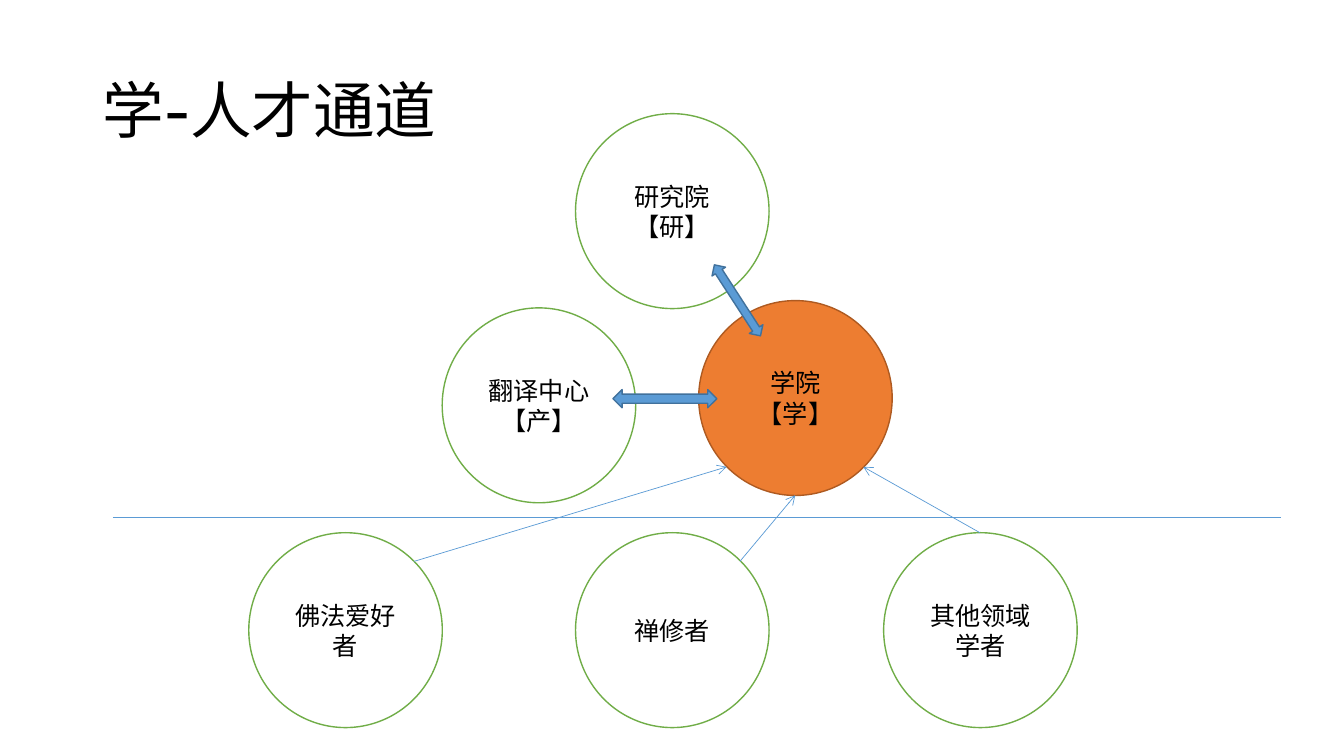
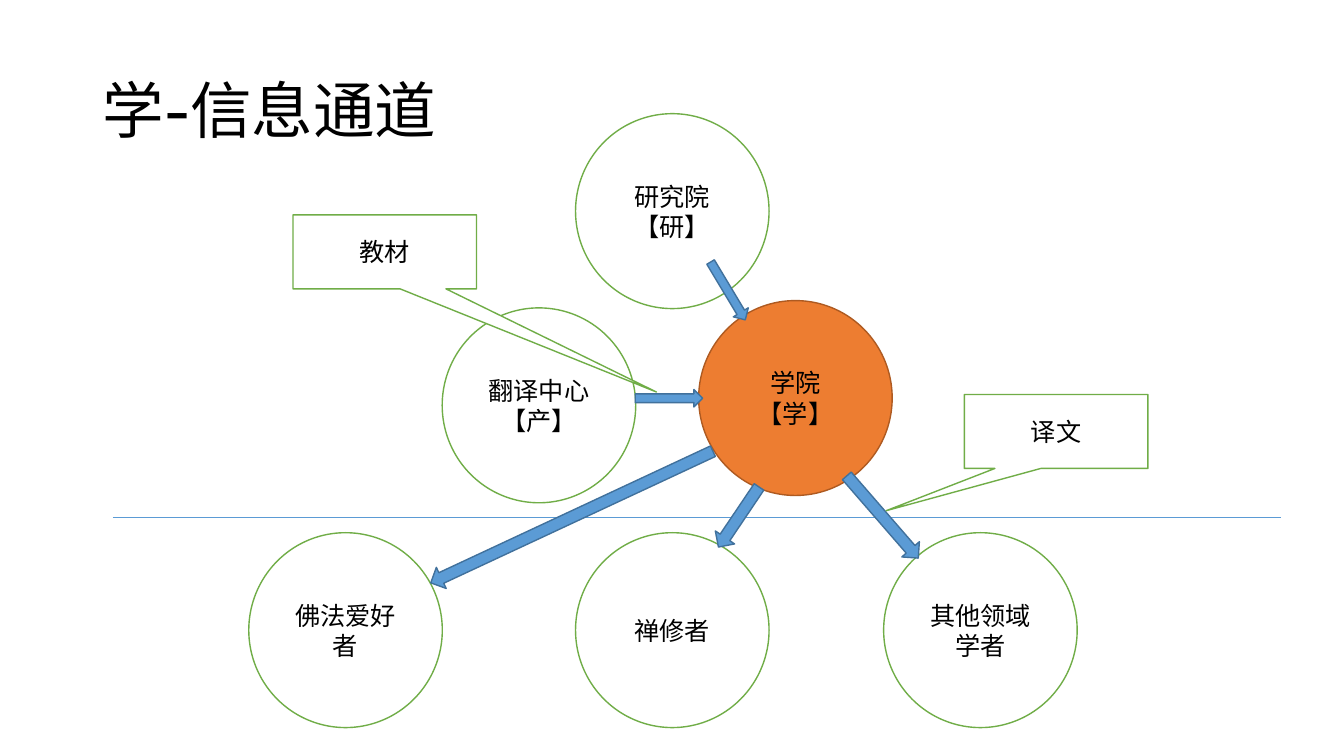
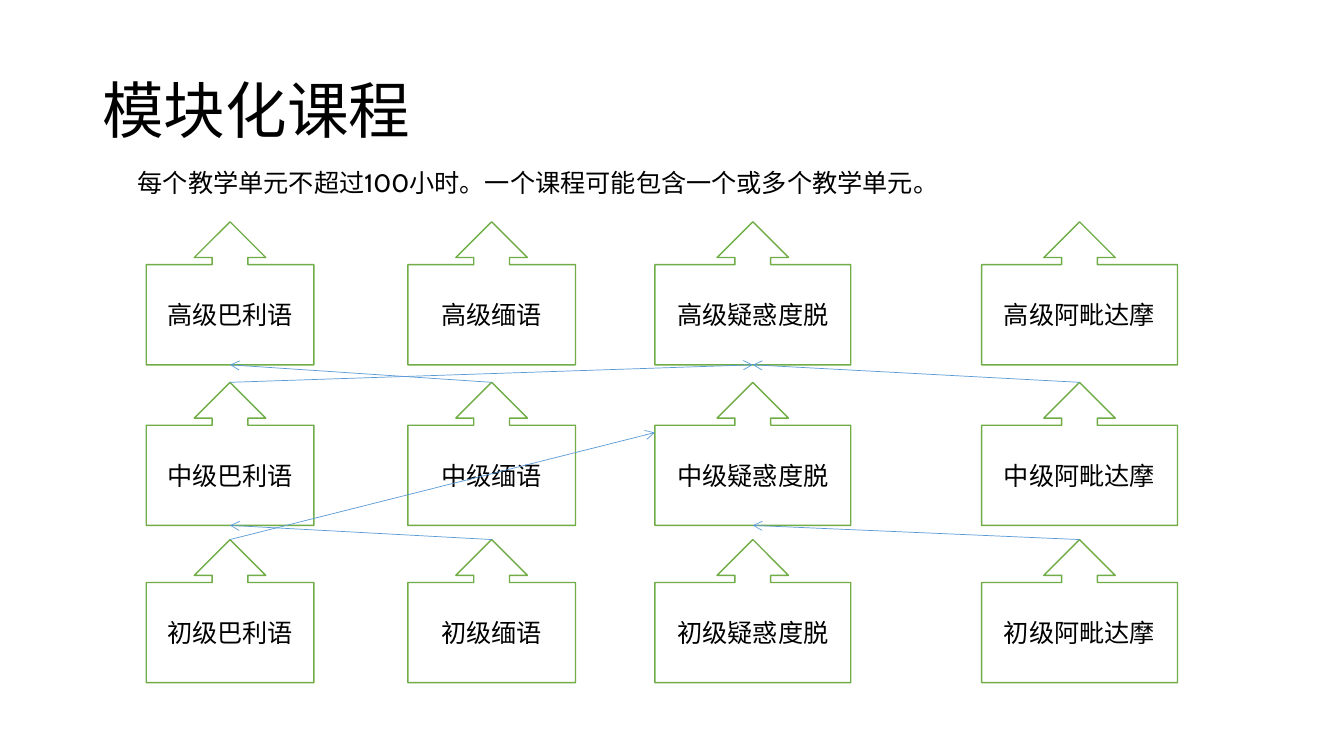
"""Build three slides on the academy's talent channels, information channels and modular courses."""
from lxml.etree import SubElement
from pptx import Presentation
from pptx.dml.color import RGBColor
from pptx.enum.shapes import MSO_CONNECTOR, MSO_SHAPE
from pptx.enum.text import MSO_ANCHOR, MSO_AUTO_SIZE, PP_ALIGN
from pptx.oxml.ns import qn
from pptx.util import Pt

FONT = "Cabin"
BLACK = RGBColor(0x00, 0x00, 0x00)
WHITE = RGBColor(0xFF, 0xFF, 0xFF)
GREEN = RGBColor(0x70, 0xAD, 0x47)
ORANGE = RGBColor(0xED, 0x7D, 0x31)
BROWN = RGBColor(0xAE, 0x5A, 0x21)
BLUE = RGBColor(0x5B, 0x9B, 0xD5)
NAVY = RGBColor(0x41, 0x71, 0x9C)


def add_box(slide, kind, place, text="", fill=WHITE, outline=GREEN, adjustments=(), rotation=0):
    shape = slide.shapes.add_shape(kind, *[Pt(length) for length in place])
    shape.shadow.inherit = False
    shape.rotation = rotation
    shape.fill.solid()
    shape.fill.fore_color.rgb = fill
    shape.line.color.rgb = outline
    shape.line.width = Pt(1)
    for index, value in enumerate(adjustments):
        shape.adjustments[index] = value
    frame = shape.text_frame
    for index, line in enumerate(text.split("\n") if text else []):
        paragraph = frame.add_paragraph() if index else frame.paragraphs[0]
        paragraph.alignment = PP_ALIGN.CENTER
        run = paragraph.add_run()
        run.text = line
        run.font.name = FONT
        run.font.size = Pt(18)
        run.font.color.rgb = BLACK
    return shape


def add_line(slide, start=(0, 0), end=(0, 0), arrow=True):
    points = [Pt(length) for length in (*start, *end)]
    connector = slide.shapes.add_connector(MSO_CONNECTOR.STRAIGHT, *points)
    connector.line.color.rgb = BLUE
    connector.line.width = Pt(0.5)
    properties = connector._element.spPr
    if arrow:
        SubElement(properties.find(qn("a:ln")), qn("a:tailEnd"), type="arrow")
    SubElement(properties, qn("a:effectLst"))
    return connector


presentation = Presentation()
presentation.slide_width = Pt(960.48)
presentation.slide_height = Pt(540)
title_layout = presentation.slide_layouts[5]

slides = []
for heading in ("学-人才通道", "学-信息通道", "模块化课程"):
    slide = presentation.slides.add_slide(title_layout)
    title = slide.shapes.title
    title.left, title.top, title.width, title.height = Pt(66), Pt(28.8), Pt(828), Pt(104.4)
    title.text_frame.vertical_anchor = MSO_ANCHOR.MIDDLE
    paragraph = title.text_frame.paragraphs[0]
    paragraph.alignment = PP_ALIGN.LEFT
    paragraph.line_spacing = 0.9
    run = paragraph.add_run()
    run.text = heading
    run.font.name = FONT
    run.font.size = Pt(44)
    run.font.color.rgb = BLACK
    slides.append(slide)
talent_slide, information_slide, course_slide = slides

AUDIENCE_TOP = 380.5
circles = [
    (411.3, 81.2, "研究院\n【研】", WHITE, GREEN),
    (499.3, 214.7, "学院\n【学】", ORANGE, BROWN),
    (316, 219.9, "翻译中心\n【产】", WHITE, GREEN),
    (177.8, AUDIENCE_TOP, "佛法爱好者", WHITE, GREEN),
    (411.3, AUDIENCE_TOP, "禅修者", WHITE, GREEN),
    (631.5, AUDIENCE_TOP, "其他领域学者", WHITE, GREEN),
]
for slide in (talent_slide, information_slide):
    for left, top, text, fill, outline in circles:
        add_box(slide, MSO_SHAPE.OVAL, (left, top, 138.3, 139.2), text, fill, outline)
    add_line(slide, (80.6, 369.6), (915.2, 369.6), arrow=False)

for start, end in [
    ((295.9, 401), (519.3, 333.5)),
    ((528.8, 401), (568.3, 353.8)),
    ((700.3, 380.5), (617, 333.5)),
]:
    add_line(talent_slide, start, end)
for place, rotation in [((521.3, 184.3, 11.5, 60.5), 327), ((468.7, 247.7, 13, 74.2), 270)]:
    add_box(talent_slide, MSO_SHAPE.UP_DOWN_ARROW, place, "", BLUE, NAVY, (0.5, 0.5), rotation)

for place, rotation in [
    ((496.1, 201.6, 48.2, 12.5), 59),
    ((454, 278.2, 48.2, 12.5), 0),
    ((591.8, 361, 77.8, 16.6), 49),
    ((502, 361, 51.8, 16.6), 124),
    ((297.4, 361, 222.5, 16.6), 155),
]:
    add_box(information_slide, MSO_SHAPE.RIGHT_ARROW, place, "", BLUE, NAVY, (0.5, 0.5), rotation)
for left, top, text, pointer in [
    (689.2, 281.8, "译文", (-0.926, 1.072)),
    (209.4, 153.5, "教材", (1.48, 1.896)),
]:
    place = (left, top, 131.2, 52.8)
    add_box(information_slide, MSO_SHAPE.RECTANGULAR_CALLOUT, place, text, adjustments=pointer)

subjects = [("巴利语", 104.5, 119.8), ("缅语", 291.5, 119.8), ("疑惑度脱", 468, 140), ("阿毗达摩", 701.5, 140)]
levels = [("高级", 158.4), ("中级", 273.1), ("初级", 385.4)]
courses = {}
for subject, left, width in subjects:
    for level, top in levels:
        courses[level + subject] = add_box(
            course_slide, MSO_SHAPE.UP_ARROW_CALLOUT, (left, top, width, 102.2),
            level + subject, adjustments=(0.25, 0.25, 0.25, 0.7))

for source, target in [
    ("初级缅语", "中级巴利语"),
    ("中级缅语", "高级巴利语"),
    ("中级巴利语", "高级疑惑度脱"),
    ("初级阿毗达摩", "中级疑惑度脱"),
    ("中级阿毗达摩", "高级疑惑度脱"),
]:
    connector = add_line(course_slide)
    connector.begin_connect(courses[source], 0)
    connector.end_connect(courses[target], 2)
connector = add_line(course_slide, end=(468, 309))
connector.begin_connect(courses["初级巴利语"], 0)

note = course_slide.shapes.add_textbox(Pt(91.4), Pt(115.9), Pt(594), Pt(29))
note.text_frame.word_wrap = True
note.text_frame.auto_size = MSO_AUTO_SIZE.SHAPE_TO_FIT_TEXT
run = note.text_frame.paragraphs[0].add_run()
run.text = "每个教学单元不超过100小时。一个课程可能包含一个或多个教学单元。"
run.font.name = FONT
run.font.size = Pt(18)
run.font.color.rgb = BLACK

presentation.save("out.pptx")
